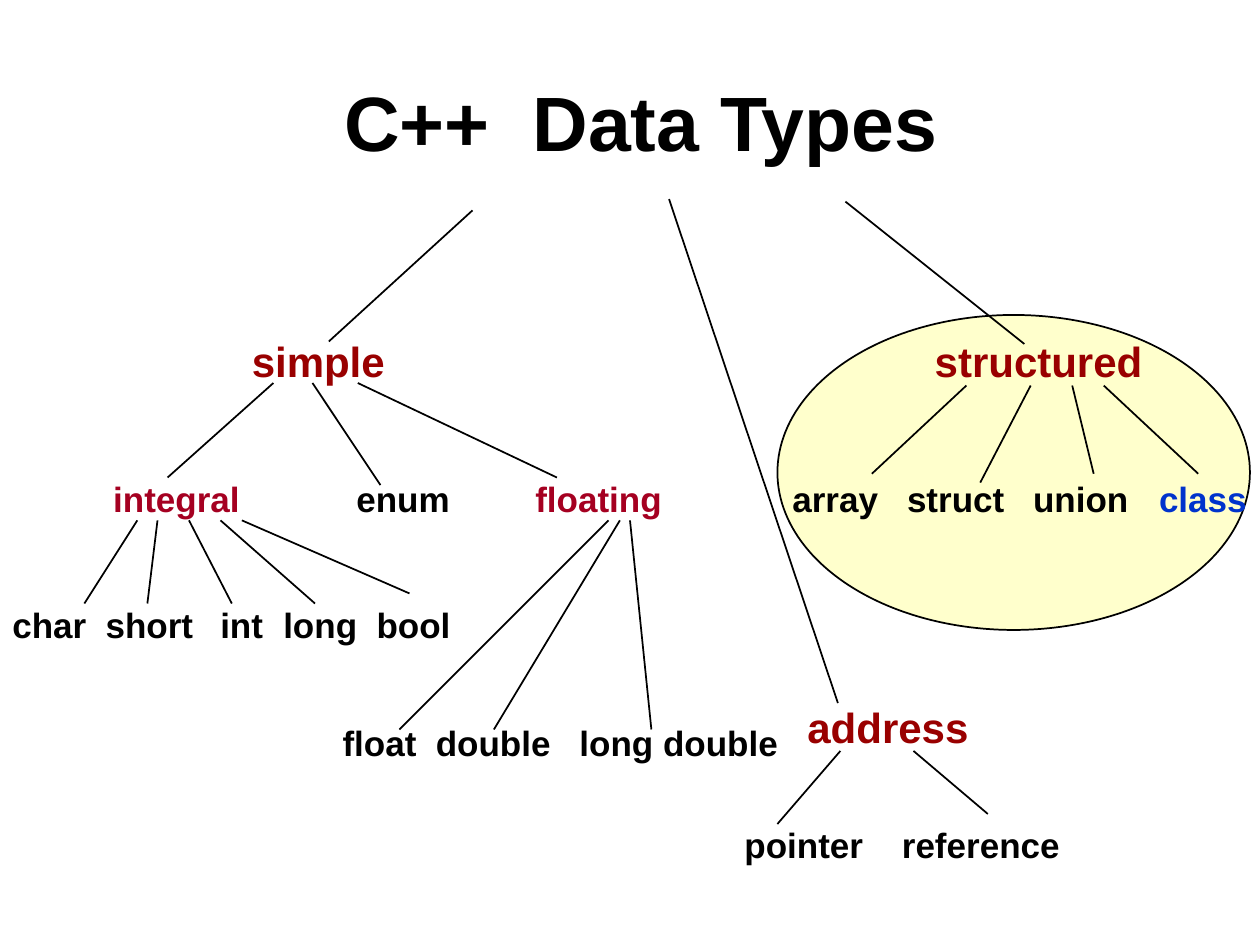
from dataclasses import dataclass

from lxml import etree
from pptx import Presentation
from pptx.dml.color import RGBColor
from pptx.enum.shapes import MSO_CONNECTOR, MSO_SHAPE
from pptx.enum.text import MSO_ANCHOR, MSO_AUTO_SIZE, PP_ALIGN
from pptx.oxml.ns import qn
from pptx.util import Inches, Pt

STRAIGHT = MSO_CONNECTOR.STRAIGHT
OVAL = MSO_SHAPE.OVAL
MIDDLE = MSO_ANCHOR.MIDDLE
FIXED_SIZE = MSO_AUTO_SIZE.NONE
CENTER = PP_ALIGN.CENTER
TITLE_ONLY = 5


@dataclass(frozen=True)
class Theme:
    """Holds the typeface, type sizes and colours of the slide."""
    font: str = "Arial"
    title_size: int = 44
    category_size: int = 24
    type_size: int = 20
    ink: str = "000000"
    category: str = "990000"
    family: str = "A50021"
    highlight: str = "0033CC"
    halo: str = "FFFFCC"
    line_width: float = 1


@dataclass(frozen=True)
class Box:
    """Describes a region in inches and its inner boxes."""
    left: float
    top: float
    width: float
    height: float

    def inner(self, dx, dy, width, height):
        """Return a box offset from this region's corner."""
        return Box(self.left + dx, self.top + dy, width, height)

    def lengths(self):
        """Return left, top, width and height as slide lengths."""
        return [Inches(n) for n in (self.left, self.top, self.width, self.height)]


THEME = Theme()


def style_font(font, size, color):
    """Apply the bold theme typeface in a size and colour."""
    font.name = THEME.font
    font.size = Pt(size)
    font.bold = True
    font.color.rgb = RGBColor.from_string(color)


def add_words(slide, box, words, size, color=THEME.ink, stops=(), accents=None):
    """Write words in one row, aligned at tab stops measured from the first."""
    frame = slide.shapes.add_textbox(*box.lengths()).text_frame
    frame.word_wrap = True
    frame.auto_size = FIXED_SIZE
    row = frame.paragraphs[0]
    style_font(row.font, size, color)
    for index, word in enumerate(words):
        run = row.add_run()
        run.text = "\t" + word if index else word
        if accents and word in accents:
            run.font.color.rgb = RGBColor.from_string(accents[word])
    if stops:
        properties = row._p.get_or_add_pPr()
        tabs = etree.Element(qn("a:tabLst"))
        for stop in stops:
            etree.SubElement(tabs, qn("a:tab"), pos=str(Inches(stop)), algn="l")
        properties.find(qn("a:defRPr")).addprevious(tabs)


def add_branches(slide, box, start_y, branches):
    """Draw lines from one height, each given as start x, end x and end y."""
    for start_x, end_x, end_y in branches:
        branch = slide.shapes.add_connector(
            STRAIGHT,
            Inches(box.left + start_x), Inches(box.top + start_y),
            Inches(box.left + end_x), Inches(box.top + end_y))
        branch.line.color.rgb = RGBColor.from_string(THEME.ink)
        branch.line.width = Pt(THEME.line_width)
        etree.SubElement(branch._element.spPr, qn("a:effectLst"))


def add_title(slide, box):
    """Place the slide title in its placeholder."""
    title = slide.shapes.title
    title.left, title.top, title.width, title.height = box.lengths()
    frame = title.text_frame
    frame.text = "C++  Data Types"
    frame.auto_size = FIXED_SIZE
    frame.vertical_anchor = MIDDLE
    heading = frame.paragraphs[0]
    heading.alignment = CENTER
    style_font(heading.font, THEME.title_size, THEME.ink)


def add_structured(slide, box):
    """Place the structured types on their oval."""
    oval = slide.shapes.add_shape(OVAL, *box.lengths())
    oval.shadow.inherit = False
    oval.fill.solid()
    oval.fill.fore_color.rgb = RGBColor.from_string(THEME.halo)
    oval.line.color.rgb = RGBColor.from_string(THEME.ink)
    oval.line.width = Pt(THEME.line_width)
    add_words(slide, box.inner(1.15, 0.11, 1.85, 0.5), ["structured"],
              THEME.category_size, THEME.category)
    add_words(slide, box.inner(0.02, 1.24, 3.85, 0.43),
              ["array", "struct", "union", "class"], THEME.type_size,
              stops=(0.91, 1.91, 2.91), accents={"class": THEME.highlight})
    add_branches(slide, box, 0.56, [
        (1.5, 0.75, 1.26), (2.01, 1.61, 1.33), (2.34, 2.51, 1.26), (2.59, 3.34, 1.26)])


def add_integral(slide, box):
    """Place the integral types below their family name."""
    add_words(slide, box.inner(0, 1, 3.7, 0.43),
              ["char", "short", "int", "long", "bool"], THEME.type_size,
              stops=(0.74, 1.65, 2.15, 2.89))
    add_branches(slide, box, 0.39, [
        (1.09, 0.67, 1.05), (1.25, 1.17, 1.05), (1.5, 1.84, 1.05),
        (1.75, 2.5, 1.05), (1.92, 3.25, 0.97)])


def add_floating(slide, box):
    """Place the floating types below their family name."""
    add_words(slide, box.inner(1.53, 0, 1.21, 0.43), ["floating"],
              THEME.type_size, THEME.family)
    add_words(slide, box.inner(0, 1.94, 3.72, 0.43),
              ["float", "double", "long double"], THEME.type_size, stops=(0.74, 1.88))
    add_branches(slide, box, 0.39, [
        (2.21, 0.55, 2.05), (2.3, 1.3, 2.05), (2.38, 2.55, 2.05)])


def add_simple(slide, box):
    """Place the simple types with their integral and floating families."""
    add_words(slide, box.inner(1.9, 0, 1.26, 0.5), ["simple"],
              THEME.category_size, THEME.category)
    add_words(slide, box.inner(0.8, 1.13, 2.95, 0.43), ["integral", "enum"],
              THEME.type_size, THEME.family, stops=(1.93,), accents={"enum": THEME.ink})
    add_branches(slide, box, 0.43, [
        (2.17, 1.33, 1.18), (2.48, 3.02, 1.24), (2.84, 4.42, 1.18)])
    add_integral(slide, box.inner(0, 1.13, 3.7, 1.43))
    add_floating(slide, box.inner(2.62, 1.13, 3.67, 2.37))


def add_address(slide, box):
    """Place the address types."""
    add_words(slide, box.inner(0.5, 0, 1.6, 0.5), ["address"],
              THEME.category_size, THEME.category)
    add_words(slide, box.inner(0, 0.97, 2.76, 0.43), ["pointer", "reference"],
              THEME.type_size, stops=(1.25,))
    add_branches(slide, box, 0.44, [(0.86, 0.36, 1.02), (1.44, 2.03, 0.94)])


def add_root_branches(slide, box):
    """Connect the title with the three categories."""
    add_branches(slide, box, 0.09, [(1.14, 0, 1.13)])
    add_branches(slide, box, 0, [(2.7, 4.04, 4)])
    add_branches(slide, box, 0.02, [(4.1, 5.52, 1.15)])


def main():
    """Build the slide and save it."""
    deck = Presentation()
    deck.slide_width, deck.slide_height = Inches(10), Inches(7.5)
    slide = deck.slides.add_slide(deck.slide_layouts[TITLE_ONLY])
    add_title(slide, Box(0.84, 0.33, 8.5, 1.25))
    add_structured(slide, Box(6.17, 2.5, 3.75, 2.5))
    add_root_branches(slide, Box(2.61, 1.58, 5.52, 4))
    add_address(slide, Box(5.81, 5.52, 2.71, 1.4))
    add_simple(slide, Box(0, 2.61, 6.29, 3.5))
    deck.save("out.pptx")


if __name__ == "__main__":
    main()
